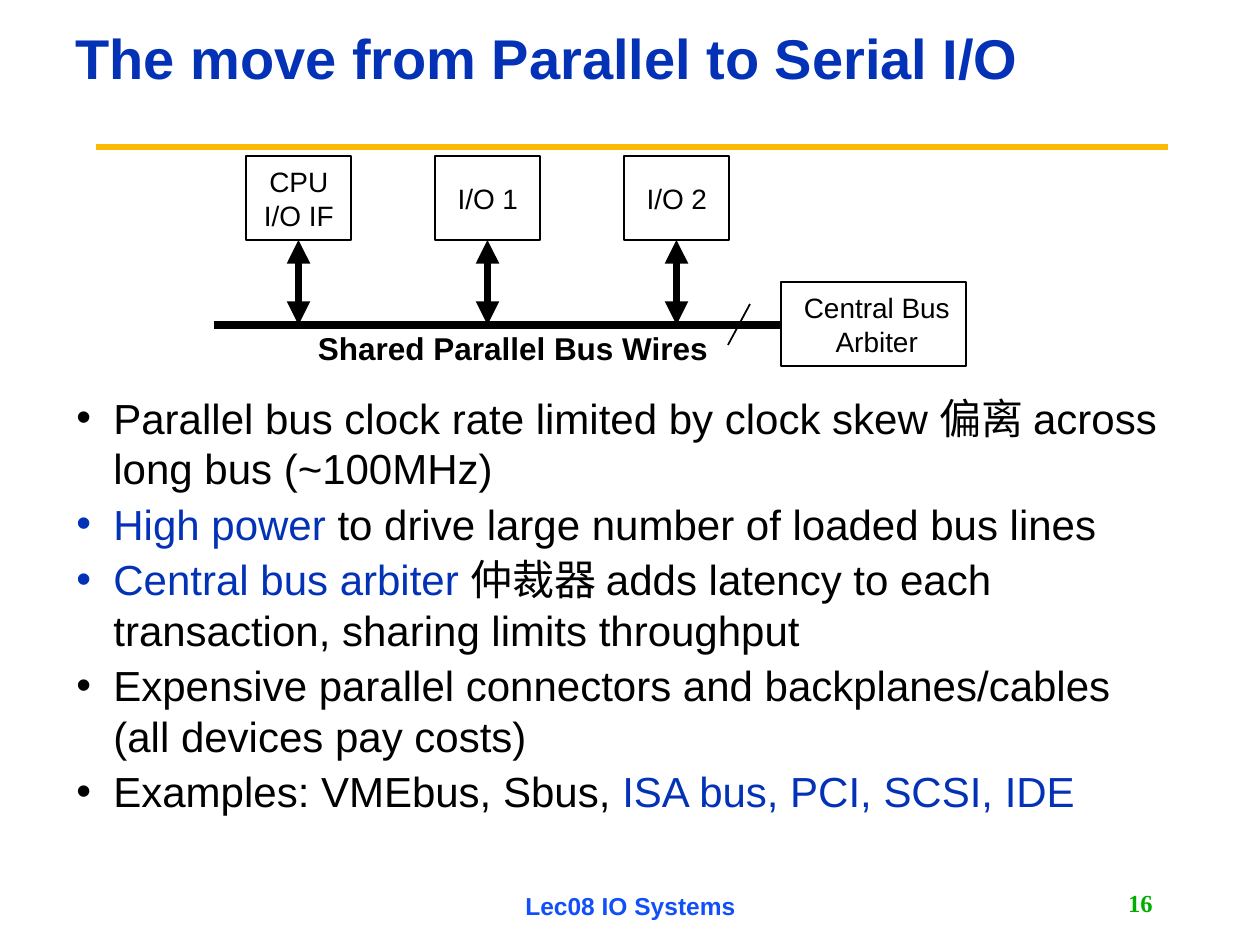
import dataclasses

import lxml.etree
import pptx
import pptx.dml.color
import pptx.enum.shapes
import pptx.enum.text
import pptx.oxml
import pptx.oxml.ns
import pptx.util

PIXEL = 914400 / 126
ALIGN = pptx.enum.text.PP_ALIGN
ANCHOR = pptx.enum.text.MSO_ANCHOR


@dataclasses.dataclass(frozen=True)
class Theme:
    sans: str = "Arial"
    serif: str = "Times New Roman"
    black: str = "000000"
    white: str = "FFFFFF"
    blue: str = "0332B7"
    footer_blue: str = "114FFB"
    green: str = "00AE00"
    gold: str = "FBBA03"
    title_size: int = 32
    body_size: int = 24
    label_size: int = 18
    device_size: int = 16
    footer_size: int = 14
    thin: float = 1
    rule: float = 3.75
    bus: float = 4.5


THEME = Theme()


def px(value):
    return pptx.util.Emu(round(value * PIXEL))


def rgb(value):
    return pptx.dml.color.RGBColor.from_string(value)


def add_element(parent, tag, **attributes):
    element = lxml.etree.SubElement(parent, pptx.oxml.ns.qn(tag))
    for name, value in attributes.items():
        element.set(name, value)
    return element


def style_paragraph(paragraph, size, color, bold=False, font=THEME.sans):
    paragraph.font.name = font
    paragraph.font.size = pptx.util.Pt(size)
    paragraph.font.bold = bold
    paragraph.font.color.rgb = rgb(color)


def add_text_box(slide, box, anchor=ANCHOR.MIDDLE, wrap=True):
    shape = slide.shapes.add_textbox(*map(px, box))
    frame = shape.text_frame
    frame.word_wrap = wrap
    frame.vertical_anchor = anchor
    return frame


def add_label(slide, box, text, size, color, align, font=THEME.sans, wrap=True):
    paragraph = add_text_box(slide, box, wrap=wrap).paragraphs[0]
    paragraph.text = text
    paragraph.alignment = align
    style_paragraph(paragraph, size, color, True, font)
    return paragraph


def add_line(slide, start, end, color, width, arrows=False):
    line = slide.shapes.add_connector(
        pptx.enum.shapes.MSO_CONNECTOR.STRAIGHT, *map(px, (*start, *end)))
    line.line.color.rgb = rgb(color)
    line.line.width = pptx.util.Pt(width)
    properties = line.line._get_or_add_ln()
    if arrows:
        add_element(properties, "a:headEnd", type="triangle")
        add_element(properties, "a:tailEnd", type="triangle")
    add_element(properties.getparent(), "a:effectLst")


def add_device(slide, box, text, fill=None, left_inset=13):
    shape = slide.shapes.add_shape(
        pptx.enum.shapes.MSO_SHAPE.RECTANGLE, *map(px, box))
    shape.shadow.inherit = False
    if fill:
        shape.fill.solid()
        shape.fill.fore_color.rgb = rgb(fill)
    else:
        shape.fill.background()
    shape.line.color.rgb = rgb(THEME.black)
    shape.line.width = pptx.util.Pt(THEME.thin)
    frame = shape.text_frame
    frame.word_wrap = True
    frame.margin_left = px(left_inset)
    frame.vertical_anchor = ANCHOR.MIDDLE
    paragraph = frame.paragraphs[0]
    paragraph.text = text
    paragraph.alignment = ALIGN.CENTER
    style_paragraph(paragraph, THEME.device_size, THEME.black)


def add_header(slide, box):
    left, top, width, height = box
    add_line(slide, (left + 33, top + height), (left + width, top + height),
             THEME.gold, THEME.rule)
    title = add_label(slide, (left, top, 1005, 102),
                      "The move from Parallel to Serial I/O",
                      THEME.title_size, THEME.blue, ALIGN.LEFT)
    title.line_spacing = 0.9


def add_bus_diagram(slide, box):
    left, top, width, height = box
    device_width, device_height, device_pitch = 105, 84, 189
    bus_y = top + 169
    add_line(slide, (left, bus_y), (left + 577, bus_y), THEME.black, THEME.bus)
    for index, name in enumerate(("CPU I/O IF", "I/O 1", "I/O 2")):
        device_left = left + 32 + index * device_pitch
        center = device_left + device_width / 2
        add_device(slide, (device_left, top, device_width, device_height), name)
        add_line(slide, (center, top + device_height), (center, bus_y),
                 THEME.black, THEME.bus, arrows=True)
    add_line(slide, (left + 514, bus_y + 20), (left + 536, bus_y - 21),
             THEME.black, THEME.thin)
    arbiter_width = 185
    add_device(slide, (left + width - arbiter_width, top + height - device_height,
                       arbiter_width, device_height),
               "Central Bus Arbiter", THEME.white, left_inset=19)
    add_label(slide, (left + 91, bus_y - 2, 416, 50), "Shared Parallel Bus Wires",
              THEME.label_size, THEME.black, ALIGN.CENTER, wrap=False)


def add_bullets(slide, box):
    black, blue = THEME.black, THEME.blue
    bullets = (
        (("Parallel bus clock rate limited by clock skew 偏离 "
          "across long bus (~100MHz)", black),),
        (("High power", blue), (" to drive large number of loaded bus lines", black)),
        (("Central bus arbiter ", blue),
         ("仲裁器 adds latency to each transaction, sharing limits throughput", black)),
        (("Expensive parallel connectors and backplanes/cables "
          "(all devices pay costs)", black),),
        (("Examples: VMEbus, Sbus, ", black), ("ISA bus, PCI, SCSI, IDE", blue)),
    )
    frame = add_text_box(slide, box, ANCHOR.TOP)
    for index, parts in enumerate(bullets):
        paragraph = frame.add_paragraph() if index else frame.paragraphs[0]
        properties = paragraph._p.get_or_add_pPr()
        properties.set("marL", str(px(37)))
        properties.set("indent", str(px(-37)))
        bullet_color = add_element(properties, "a:buClr")
        add_element(bullet_color, "a:srgbClr", val=parts[0][1])
        add_element(properties, "a:buFont", typeface=THEME.sans)
        add_element(properties, "a:buChar", char="•")
        if index:
            paragraph.space_before = pptx.util.Pt(3)
        style_paragraph(paragraph, THEME.body_size, black)
        for text, color in parts:
            run = paragraph.add_run()
            run.text = text
            if color != black:
                run.font.color.rgb = rgb(color)


def add_footer(slide, box):
    left, top, width, height = box
    add_label(slide, (left, top + 3, 399, height), "Lec08 IO Systems",
              THEME.footer_size, THEME.footer_blue, ALIGN.CENTER)
    number_width = 262
    add_label(slide, (left + width - number_width, top, number_width, height), "16",
              THEME.footer_size, THEME.green, ALIGN.RIGHT, THEME.serif)


def main():
    presentation = pptx.Presentation()
    presentation.slide_width = px(1260)
    presentation.slide_height = px(945)
    slide = presentation.slides.add_slide(presentation.slide_layouts[6])
    slide.background.fill.solid()
    slide.background.fill.fore_color.rgb = rgb(THEME.white)
    add_header(slide, (63, 10, 1105, 137))
    add_bus_diagram(slide, (214, 156, 752, 210))
    add_bullets(slide, (64, 386, 1113, 464))
    add_footer(slide, (431, 883, 734, 40))
    presentation.save("out.pptx")


if __name__ == "__main__":
    main()
